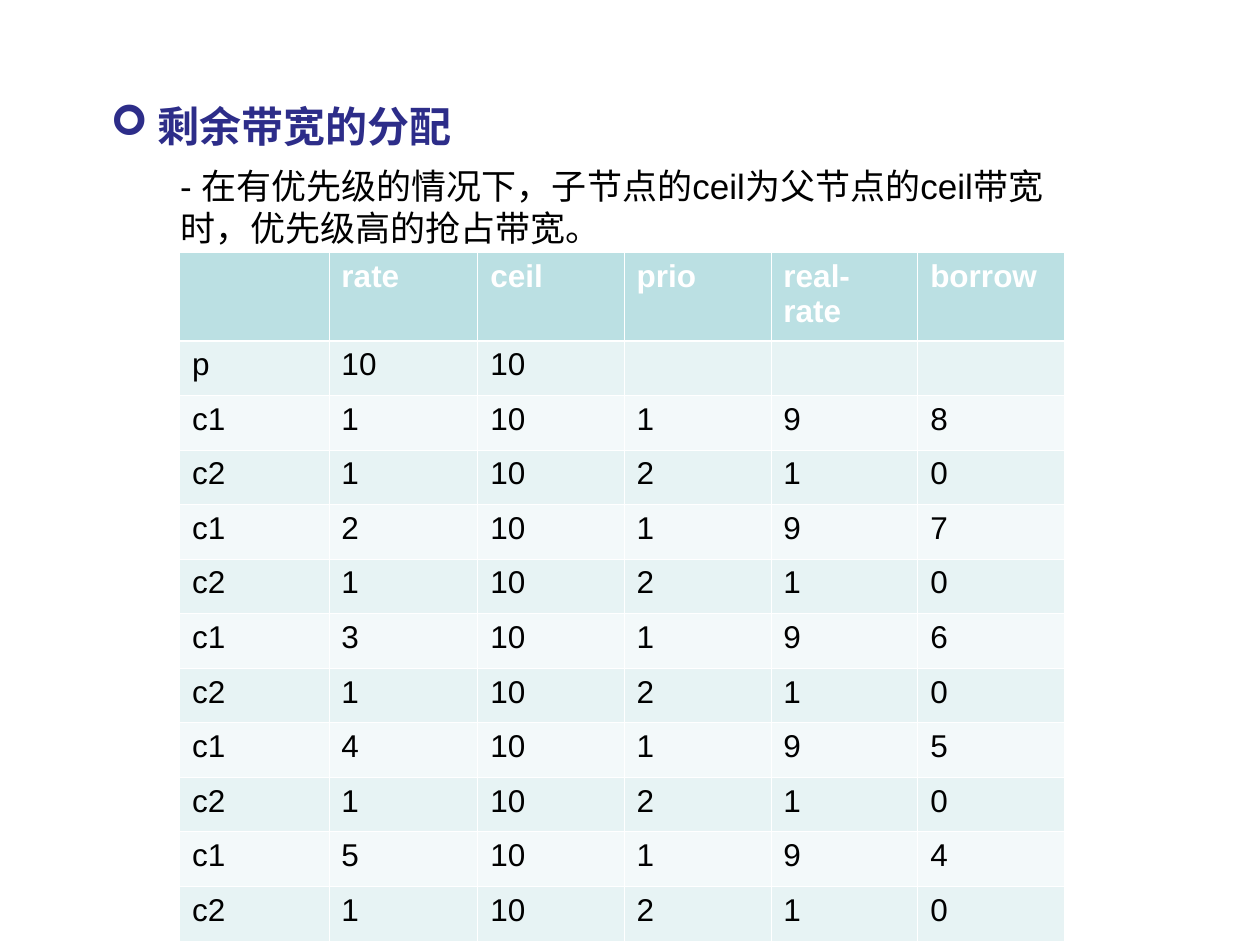
from dataclasses import dataclass

from lxml import etree
from pptx import Presentation
from pptx import util as u
from pptx.dml.color import RGBColor
from pptx.enum import text
from pptx.oxml import ns


@dataclass(frozen=True)
class Theme:
    font: str = "Arial"
    heading: str = "2D2D89"
    body: str = "000000"
    white: str = "FFFFFF"
    header_fill: str = "BBE0E3"
    bands: tuple = ("E7F3F4", "F3F9FA")
    heading_size: int = 24
    body_size: int = 20
    table_size: int = 18
    thin: float = 0.45
    thick: float = 1.47


theme = Theme()


def add_span(para, words, size, color, bold=False):
    span = para.add_run()
    span.text = words
    span.font.name = theme.font
    span.font.size = u.Pt(size)
    span.font.bold = bold
    span.font.color.rgb = RGBColor.from_string(color)


def set_borders(cell, top, bottom):
    """Draw white lines on all sides; top and bottom are widths in points."""
    widths = {"lnL": theme.thin, "lnR": theme.thin, "lnT": top, "lnB": bottom}
    properties = cell._tc.get_or_add_tcPr()
    for position, (side, width) in enumerate(widths.items()):
        line = etree.Element(ns.qn(f"a:{side}"), w=str(u.Pt(width)))
        fill = etree.SubElement(line, ns.qn("a:solidFill"))
        etree.SubElement(fill, ns.qn("a:srgbClr"), val=theme.white)
        properties.insert(position, line)


deck = Presentation()
deck.slide_width, deck.slide_height = u.Cm(25.4), u.Cm(19.05)
page = deck.slides.add_slide(deck.slide_layouts[6])

# Heading with an arrow bullet
heading = page.shapes.add_textbox(u.Cm(1.98), u.Cm(1.9), u.Cm(8.76), u.Cm(1.28))
heading.text_frame.word_wrap = True
heading.text_frame.auto_size = text.MSO_AUTO_SIZE.SHAPE_TO_FIT_TEXT
para = heading.text_frame.paragraphs[0]
indent = para._p.get_or_add_pPr()
indent.set("marL", str(u.Cm(0.95)))
indent.set("indent", str(-u.Cm(0.95)))
bullet_color = etree.SubElement(indent, ns.qn("a:buClr"))
etree.SubElement(bullet_color, ns.qn("a:srgbClr"), val=theme.heading)
etree.SubElement(indent, ns.qn("a:buFont"), typeface="Wingdings")
etree.SubElement(indent, ns.qn("a:buChar"), char="➢")
add_span(para, "剩余带宽的分配", theme.heading_size, theme.heading, bold=True)

# Explanation
explanation = page.shapes.add_textbox(u.Cm(3.38), u.Cm(3.2), u.Cm(18.06), u.Cm(1.96))
explanation.text_frame.word_wrap = True
explanation.text_frame.auto_size = text.MSO_AUTO_SIZE.SHAPE_TO_FIT_TEXT
add_span(
    explanation.text_frame.paragraphs[0],
    "- 在有优先级的情况下，子节点的ceil为父节点的ceil带宽时，优先级高的抢占带宽。",
    theme.body_size,
    theme.body,
)

# Bandwidth table: c1 takes all that c2 leaves of the parent's 10
rows = [
    ["", "rate", "ceil", "prio", "real-rate", "borrow"],
    ["p", "10", "10", "", "", ""],
]
for rate in range(1, 6):
    rows.append(["c1", str(rate), "10", "1", "9", str(9 - rate)])
    rows.append(["c2", "1", "10", "2", "1", "0"])

column_widths = [3.01, 3, 2.95, 2.96, 2.96, 2.96]
row_heights = [1.77] + [1.1] * (len(rows) - 1)
table = page.shapes.add_table(
    len(rows), len(column_widths), u.Cm(3.62), u.Cm(5.09),
    u.Cm(sum(column_widths)), u.Cm(sum(row_heights)),
).table
for column, width in zip(table.columns, column_widths):
    column.width = u.Cm(width)

for r, values in enumerate(rows):
    table.rows[r].height = u.Cm(row_heights[r])
    is_header = r == 0
    fill = theme.header_fill if is_header else theme.bands[(r - 1) % 2]
    color = theme.white if is_header else theme.body
    top = theme.thick if r == 1 else theme.thin
    bottom = theme.thick if is_header else theme.thin
    for c, value in enumerate(values):
        cell = table.cell(r, c)
        cell.fill.solid()
        cell.fill.fore_color.rgb = RGBColor.from_string(fill)
        set_borders(cell, top, bottom)
        if value:
            add_span(cell.text_frame.paragraphs[0], value, theme.table_size, color, is_header)

deck.save("out.pptx")
